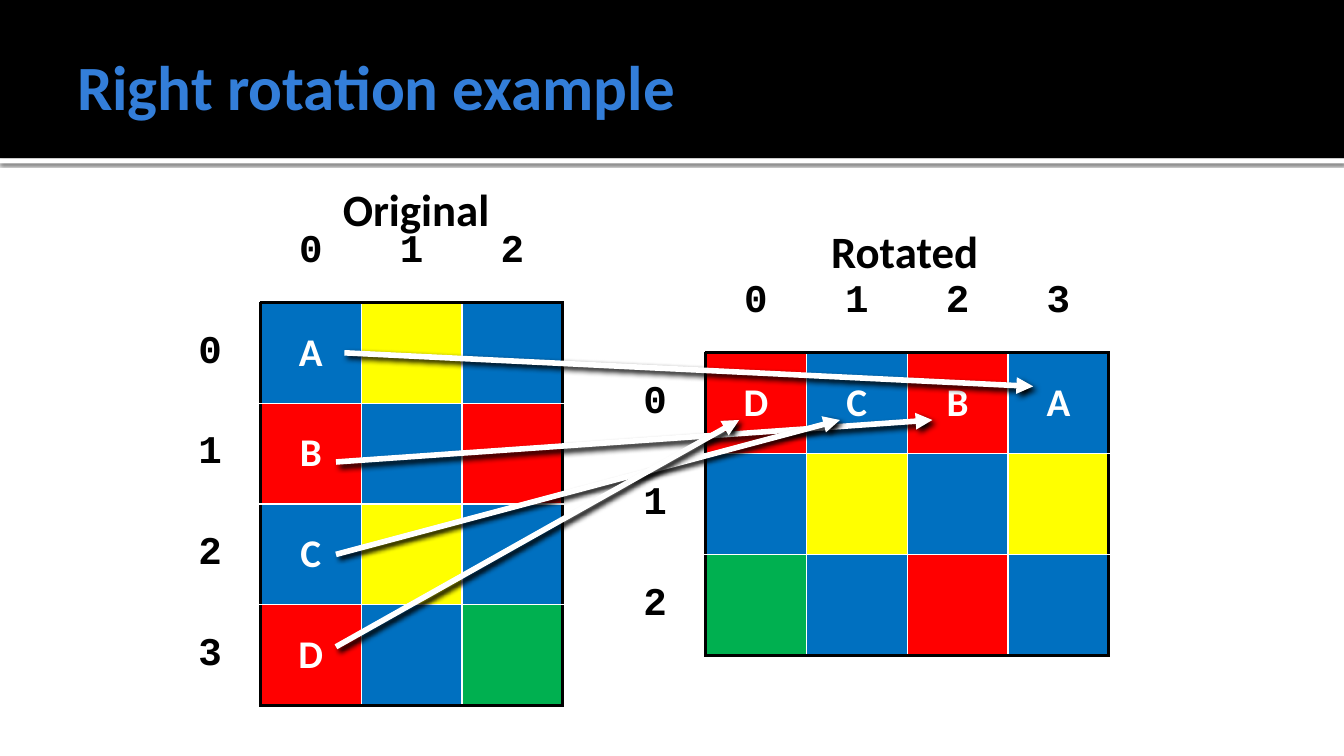
from dataclasses import dataclass

from lxml.etree import SubElement
from pptx import Presentation
from pptx.dml.color import RGBColor
from pptx.enum.shapes import MSO_CONNECTOR, MSO_SHAPE
from pptx.enum.text import MSO_ANCHOR, MSO_AUTO_SIZE, PP_ALIGN
from pptx.oxml.ns import qn
from pptx.util import Inches, Pt

BLACK, WHITE = "000000", "FFFFFF"
COLORS = {"B": "0070C0", "R": "FF0000", "Y": "FFFF00", "G": "00B050"}
SANS, MONO = "Calibri", "Courier New"
COLUMNS, ROWS = 160, 90  # slide grid, twelve units to the inch
CELL = 12
BAND_HEIGHT = 18.84


@dataclass
class Matrix:
    left: float
    top: float
    colors: list
    letters: dict


@dataclass
class Move:
    start: tuple
    end: tuple


@dataclass
class Caption:
    text: str
    left: float
    top: float
    width: float


original_colors = ["BYB", "RBR", "BYB", "RBG"]
rotated_colors = list(zip(*reversed(original_colors)))
MATRICES = [
    Matrix(19, 24, original_colors, {(row, 0): letter for row, letter in enumerate("ABCD")}),
    Matrix(72, 30, rotated_colors, {(0, col): letter for col, letter in enumerate("DCBA")}),
]
MOVES = [
    Move((40, 55), (111, 50)),
    Move((41, 42), (123, 46)),
    Move((40, 66), (100, 50)),
    Move((40, 77), (88, 50)),
]
CAPTIONS = [Caption("Original", 39, 21, 21.1), Caption("Rotated", 97, 26, 21.4)]


def units(*counts: float) -> list:
    """Convert grid units to slide lengths."""
    return [Inches(count / 12) for count in counts]


def rgb(color: str) -> RGBColor:
    return RGBColor.from_string(color)


def write(frame, text: str, *, size: float, color: str, font: str = SANS,
          align=PP_ALIGN.CENTER) -> None:
    paragraph = frame.paragraphs[0]
    paragraph.alignment = align
    run = paragraph.add_run()
    run.text = text
    run.font.size, run.font.name, run.font.bold = Pt(size), font, True
    run.font.color.rgb = rgb(color)


def add_shadow(shape, *, blur: float, distance: float, angle: int, opacity: int) -> None:
    effects = SubElement(shape._element.spPr, qn("a:effectLst"))
    shadow = SubElement(effects, qn("a:outerShdw"), blurRad=str(Pt(blur)),
                        dist=str(Pt(distance)), dir=str(angle * 60000),
                        algn="tl", rotWithShape="0")
    tint = SubElement(shadow, qn("a:srgbClr"), val=BLACK)
    SubElement(tint, qn("a:alpha"), val=str(opacity * 1000))


def add_band(slide, top: float, height: float, color: str):
    band = slide.shapes.add_shape(MSO_SHAPE.RECTANGLE, *units(0, top, COLUMNS, height))
    band.shadow.inherit = False
    band.fill.solid()
    band.fill.fore_color.rgb = rgb(color)
    band.line.fill.background()
    return band


def add_title(slide, text: str) -> None:
    box = slide.shapes.add_textbox(*units(8, 2, 144, 16.44))
    frame = box.text_frame
    frame.word_wrap = True
    frame.vertical_anchor = MSO_ANCHOR.MIDDLE
    frame.margin_right = Inches(0.05)
    write(frame, text, size=45, color="337ED9", align=PP_ALIGN.LEFT)


def set_borders(cell, borders: dict) -> None:
    """Draw the given sides; black ones are heavy, white ones are thin."""
    properties = cell._tc.get_or_add_tcPr()
    for index, side in enumerate(side for side in "LRTB" if side in borders):
        color = borders[side]
        width = Pt(2.25 if color == BLACK else 1)
        line = SubElement(properties, qn(f"a:ln{side}"), w=str(width))
        fill = SubElement(line, qn("a:solidFill"))
        SubElement(fill, qn("a:srgbClr"), val=color)
        properties.insert(index, line)


def add_matrix(slide, matrix: Matrix) -> None:
    """Draw the colored cells with an index row above and an index column beside."""
    rows, cols = len(matrix.colors), len(matrix.colors[0])
    size = units((cols + 1) * CELL, (rows + 1) * CELL)
    table = slide.shapes.add_table(rows + 1, cols + 1, *units(matrix.left, matrix.top),
                                   *size).table
    table.first_row = table.horz_banding = False
    for row in range(-1, rows):
        for col in range(-1, cols):
            cell = table.cell(row + 1, col + 1)
            cell.vertical_anchor = MSO_ANCHOR.MIDDLE
            if row >= 0 and col >= 0:
                cell.fill.solid()
                cell.fill.fore_color.rgb = rgb(COLORS[matrix.colors[row][col]])
                outer = {"L": col == 0, "R": col == cols - 1,
                         "T": row == 0, "B": row == rows - 1}
                set_borders(cell, {side: BLACK if edge else WHITE
                                   for side, edge in outer.items()})
                if (row, col) in matrix.letters:
                    write(cell.text_frame, matrix.letters[row, col], size=28, color=WHITE)
                continue
            cell.fill.background()
            if row != col:
                set_borders(cell, {"B" if row < 0 else "R": BLACK})
                write(cell.text_frame, str(max(row, col)), size=28, color=BLACK, font=MONO)


def add_move(slide, move: Move) -> None:
    arrow = slide.shapes.add_connector(MSO_CONNECTOR.STRAIGHT,
                                       *units(*move.start, *move.end))
    arrow.line.color.rgb = rgb(WHITE)
    arrow.line.width = Pt(4)
    SubElement(arrow.line._get_or_add_ln(), qn("a:tailEnd"), type="triangle")
    add_shadow(arrow, blur=4, distance=3, angle=45, opacity=100)


def add_caption(slide, caption: Caption) -> None:
    box = slide.shapes.add_textbox(*units(caption.left, caption.top, caption.width, 7.68))
    box.text_frame.word_wrap = False
    box.text_frame.auto_size = MSO_AUTO_SIZE.SHAPE_TO_FIT_TEXT
    write(box.text_frame, caption.text, size=32, color=BLACK)


def main() -> None:
    deck = Presentation()
    deck.slide_width, deck.slide_height = units(COLUMNS, ROWS)
    slide = deck.slides.add_slide(deck.slide_layouts[6])
    rule = add_band(slide, BAND_HEIGHT, 0.6, WHITE)
    rule._element.spPr.remove(rule._element.spPr.find(qn("a:effectLst")))
    add_shadow(rule, blur=2.5, distance=0.8, angle=90, opacity=60)
    add_band(slide, 0, BAND_HEIGHT, BLACK)
    add_title(slide, "Right rotation example")
    for matrix in MATRICES:
        add_matrix(slide, matrix)
    for move in MOVES:
        add_move(slide, move)
    for caption in CAPTIONS:
        add_caption(slide, caption)
    deck.save("out.pptx")


if __name__ == "__main__":
    main()
